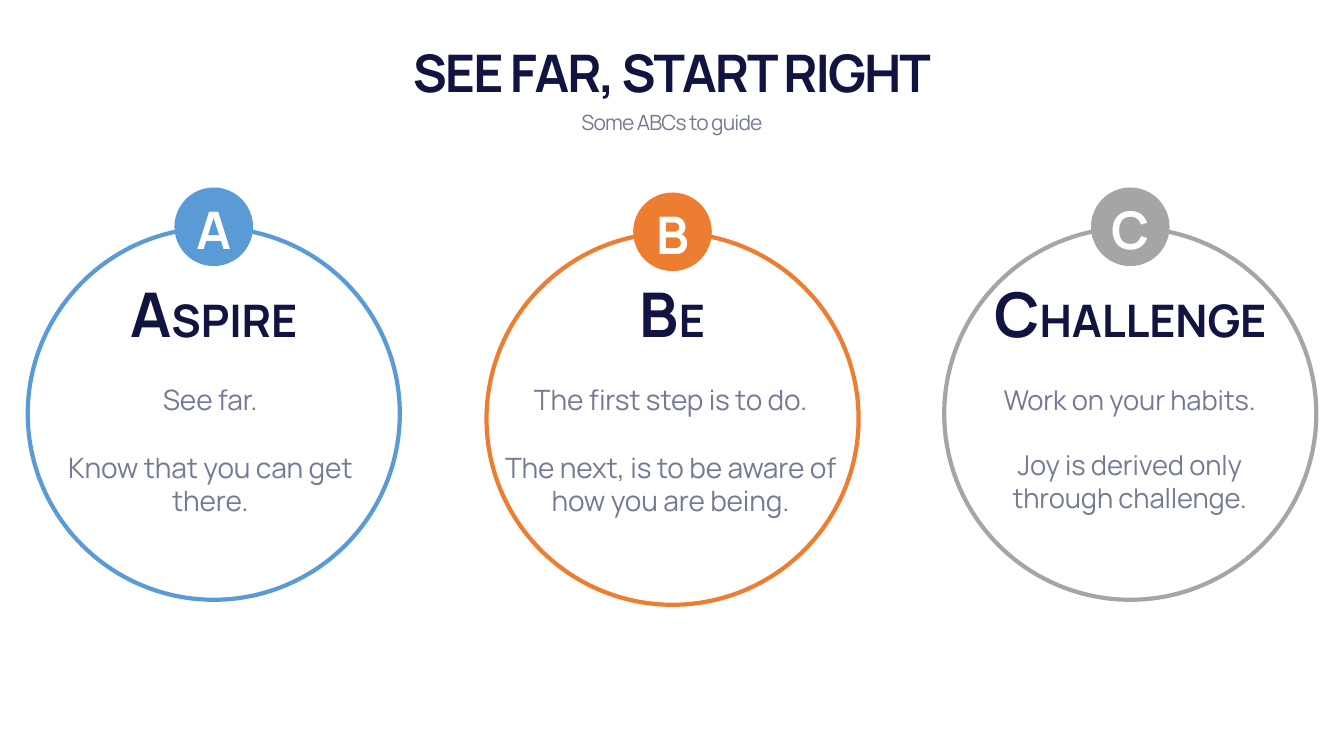
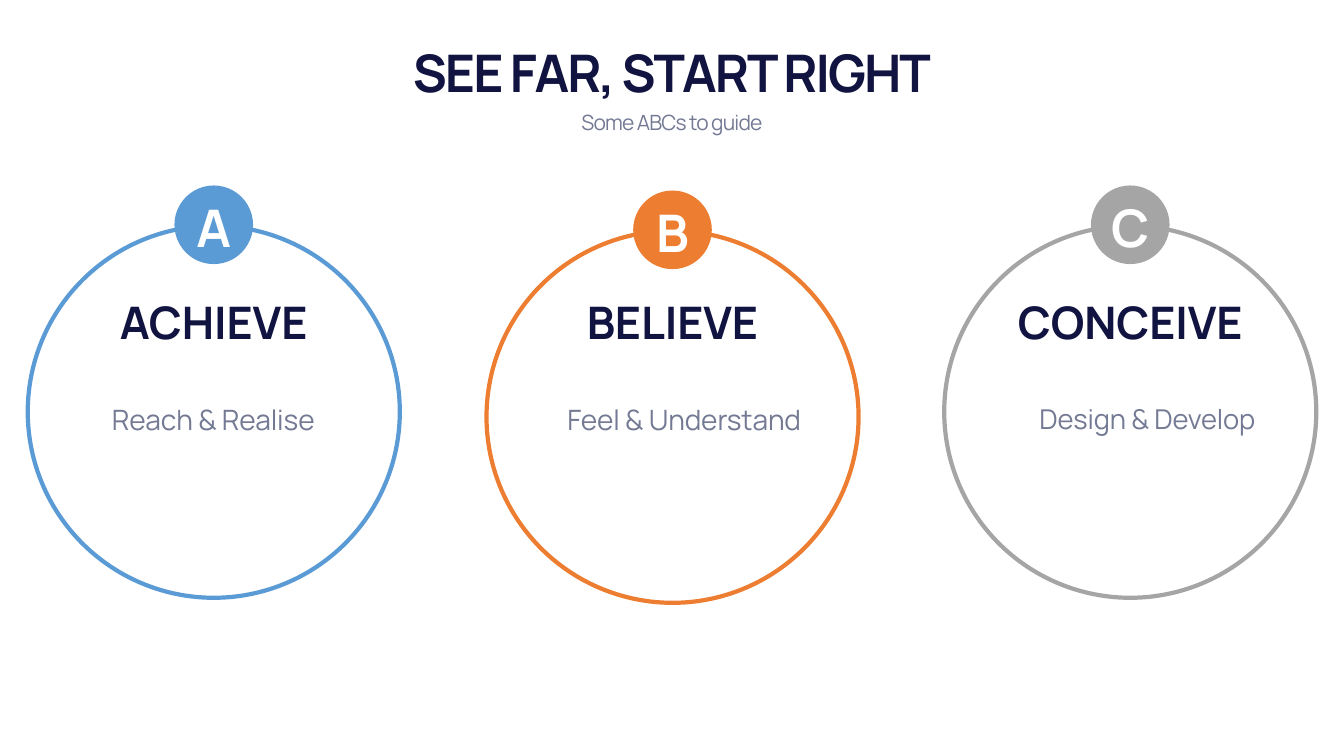
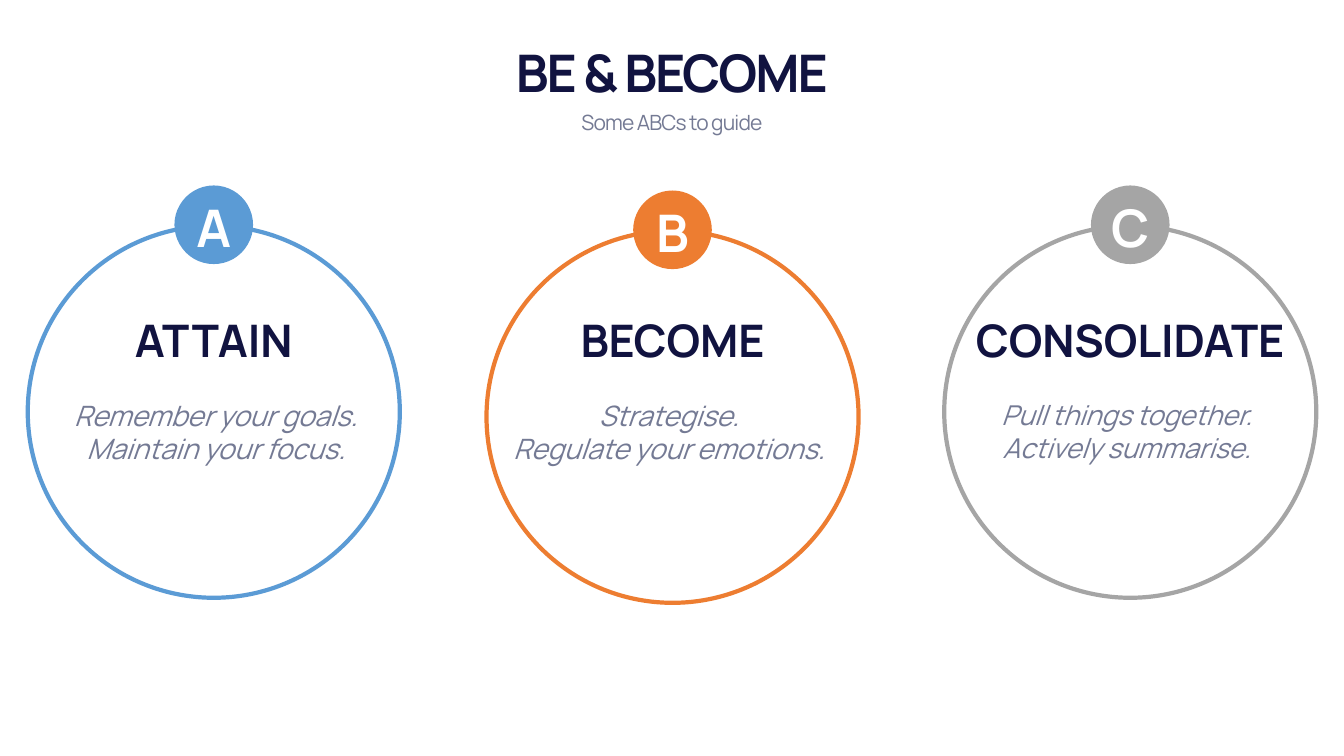
"""Three ABC slides, each with three lettered rings under a shared title."""
from dataclasses import dataclass

from pptx import Presentation
from pptx.dml.color import RGBColor
from pptx.enum import shapes, text
from pptx.util import Inches, Pt


@dataclass(frozen=True)
class Theme:
    """Colours, type sizes and letter spacings of the deck."""
    font: str = "Manrope"
    ink: str = "111340"
    soft: str = "747A94"
    white: str = "FFFFFF"
    title: float = 37
    subtitle: float = 15
    initial: float = 44
    heading: float = 32
    tight: float = -1.4
    snug: float = -0.6
    normal: float = -0.1


@dataclass(frozen=True)
class Column:
    """The look and place of one ring, the same on every slide."""
    letter: str
    colour: str
    centre: float
    drop: float
    body_size: float


@dataclass(frozen=True)
class Card:
    """The words in one ring and the extent of their boxes."""
    heading: str
    heading_width: float
    lines: tuple
    body_left: float
    body_width: float


@dataclass(frozen=True)
class Content:
    """One slide: its title, vertical layout and cards."""
    title: str
    ring_top: float
    heading_top: float
    heading_height: float
    body_top: float
    body_height: float
    cards: tuple
    small_caps: bool = False
    italic: bool = False
    spaced: bool = False


THEME = Theme()
RING, BADGE, BADGE_RISE = 3.69, 0.78, 0.4
LETTER_WIDTH, LETTER_HEIGHT, LETTER_DROP = 0.66, 0.72, 0.05
LINE_HEIGHT = 1.2
SUBTITLE = "Some ABCs to guide"

COLUMNS = (
    Column("A", "5B9BD5", 2.12, 0, 20),
    Column("B", "ED7D31", 6.67, 0.05, 20),
    Column("C", "A5A5A5", 11.21, 0, 19.5),
)

SLIDES = (
    Content("SEE FAR, START RIGHT", 2.26, 2.68, 0.84, 3.75, 1.46, (
        Card("ASPIRE", 2.05, ("See far.", "Know that you can get there."), 0.48, 3.21),
        Card("BE", 2.05, ("The first step is to do.",
                          "The next, is to be aware of how you are being."), 4.7, 3.9),
        Card("CHALLENGE", 3.31, ("Work on your habits.",
                                 "Joy is derived only through challenge."), 9.5, 3.41),
    ), small_caps=True, spaced=True),
    Content("SEE FAR, START RIGHT", 2.24, 2.87, 0.64, 3.94, 0.4, (
        Card("ACHIEVE", 2.28, ("Reach & Realise",), 0.86, 2.51),
        Card("BELIEVE", 2.05, ("Feel & Understand",), 5.36, 2.85),
        Card("CONCEIVE", 3.31, ("Design & Develop",), 10.02, 2.72),
    )),
    Content("BE & BECOME", 2.24, 3.04, 0.64, 3.9, 0.78, (
        Card("ATTAIN", 2.58, ("Remember your goals.", "Maintain your focus."), 0.4, 3.48),
        Card("BECOME", 3.39, ("Strategise.", "Regulate your emotions."), 4.82, 3.63),
        Card("CONSOLIDATE", 3.5, ("Pull things together.", "Actively summarise."), 9.47, 3.41),
    ), italic=True),
)


def style(span, size, colour, spacing, bold=False, italic=False):
    """Give a run its font, colour and letter spacing."""
    span.font.name = THEME.font
    span.font.size = Pt(size)
    span.font.bold = bold
    span.font.italic = italic
    span.font.color.rgb = RGBColor.from_string(colour)
    span.font._element.set("spc", str(round(spacing * 100)))


def add_text(page, lines, left, top, width, height, size, colour, spacing,
             anchor=text.MSO_ANCHOR.TOP, grow=True, leading=None, gap=0,
             bold=False, italic=False):
    """Add a centred text box with one paragraph per line."""
    box = page.shapes.add_textbox(*map(Inches, (left, top, width, height)))
    frame = box.text_frame
    frame.text = "\n".join(lines)
    frame.word_wrap = True
    frame.vertical_anchor = anchor
    frame.auto_size = (text.MSO_AUTO_SIZE.SHAPE_TO_FIT_TEXT if grow
                       else text.MSO_AUTO_SIZE.NONE)
    for index, para in enumerate(frame.paragraphs):
        para.alignment = text.PP_ALIGN.CENTER
        if leading:
            para.line_spacing = Pt(leading)
        if gap and index:
            para.space_before = Pt(gap)
        for span in para.runs:
            style(span, size, colour, spacing, bold, italic)
    return box


def add_circle(page, centre, top, size, colour, filled):
    """Add a filled disc or an outlined ring centred on a column."""
    circle = page.shapes.add_shape(
        shapes.MSO_SHAPE.OVAL,
        *map(Inches, (centre - size / 2, top, size, size)))
    circle.shadow.inherit = False
    if filled:
        circle.fill.solid()
        circle.fill.fore_color.rgb = RGBColor.from_string(colour)
        circle.line.fill.background()
    else:
        circle.fill.background()
        circle.line.color.rgb = RGBColor.from_string(colour)
        circle.line.width = Pt(3)


def add_header(page, title):
    """Add the title and the subtitle."""
    add_text(page, [title], 0.83, 0.31, 11.67, 0.76, THEME.title, THEME.ink,
             THEME.tight, text.MSO_ANCHOR.BOTTOM, leading=47, bold=True)
    add_text(page, [SUBTITLE], 0.83, 1, 11.67, 0.4, THEME.subtitle, THEME.soft,
             THEME.snug, leading=21)


def add_badge(page, column, ring_top):
    """Add a ring with its lettered disc."""
    top = ring_top + column.drop
    badge_top = top - BADGE_RISE
    add_circle(page, column.centre, top, RING, column.colour, False)
    add_circle(page, column.centre, badge_top, BADGE, column.colour, True)
    add_text(page, [column.letter], column.centre - LETTER_WIDTH / 2,
             badge_top + LETTER_DROP, LETTER_WIDTH, LETTER_HEIGHT, THEME.title,
             THEME.white, THEME.tight, text.MSO_ANCHOR.MIDDLE, bold=True)


def add_heading(page, content, column, card):
    """Add a ring heading, with a larger initial for small caps."""
    box = add_text(page, [card.heading], column.centre - card.heading_width / 2,
                   content.heading_top, card.heading_width, content.heading_height,
                   THEME.heading, THEME.ink, THEME.normal,
                   text.MSO_ANCHOR.BOTTOM, bold=True)
    if content.small_caps:
        para = box.text_frame.paragraphs[0]
        initial, rest = para.runs[0], para.add_run()
        initial.text, rest.text = card.heading[0], card.heading[1:]
        style(initial, THEME.initial, THEME.ink, THEME.normal, bold=True)
        style(rest, THEME.heading, THEME.ink, THEME.normal, bold=True)


def add_body(page, content, column, card):
    """Add the lines of text inside a ring."""
    gap = column.body_size * LINE_HEIGHT if content.spaced else 0
    add_text(page, card.lines, card.body_left, content.body_top, card.body_width,
             content.body_height, column.body_size, THEME.soft, THEME.normal,
             grow=False, gap=gap, italic=content.italic)


def main():
    """Build and save the deck."""
    deck = Presentation()
    deck.slide_width, deck.slide_height = Inches(13.33), Inches(7.5)
    for content in SLIDES:
        page = deck.slides.add_slide(deck.slide_layouts[6])
        add_header(page, content.title)
        for column, card in zip(COLUMNS, content.cards):
            add_badge(page, column, content.ring_top)
            add_heading(page, content, column, card)
            add_body(page, content, column, card)
    deck.save("out.pptx")


if __name__ == "__main__":
    main()
